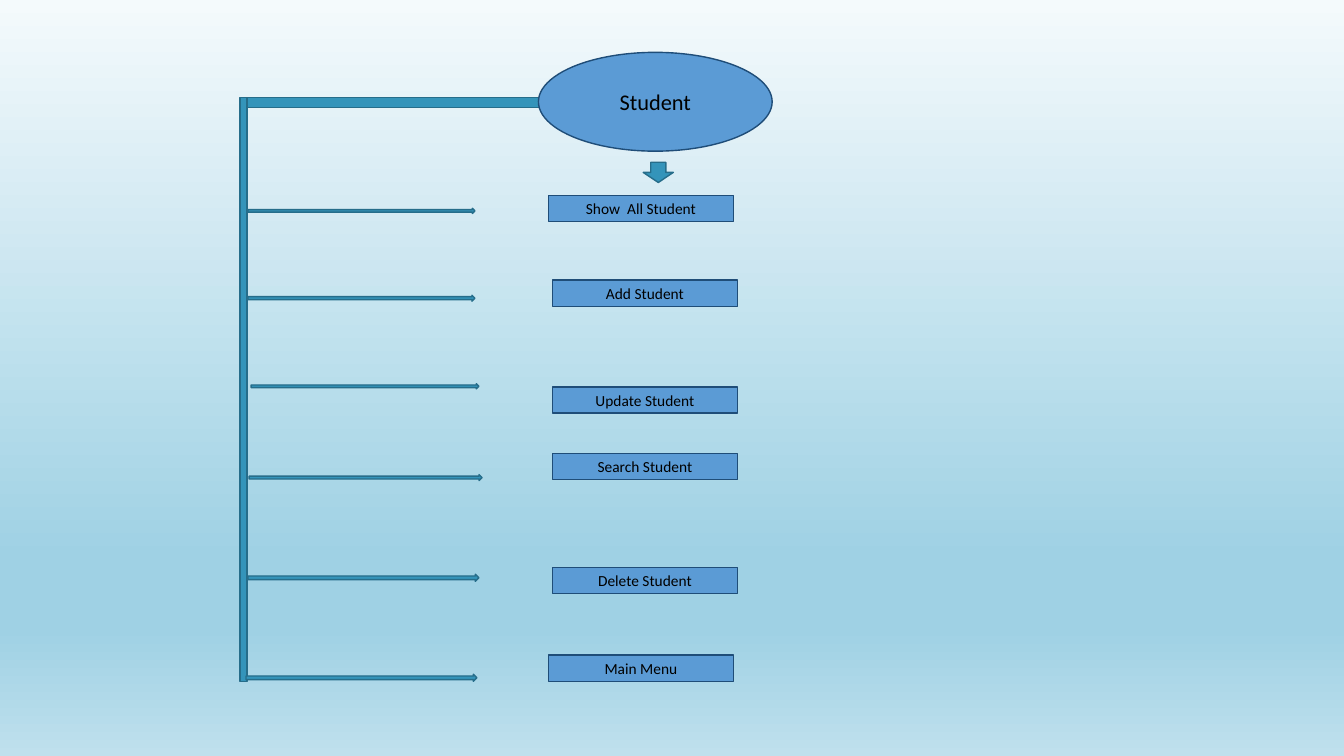
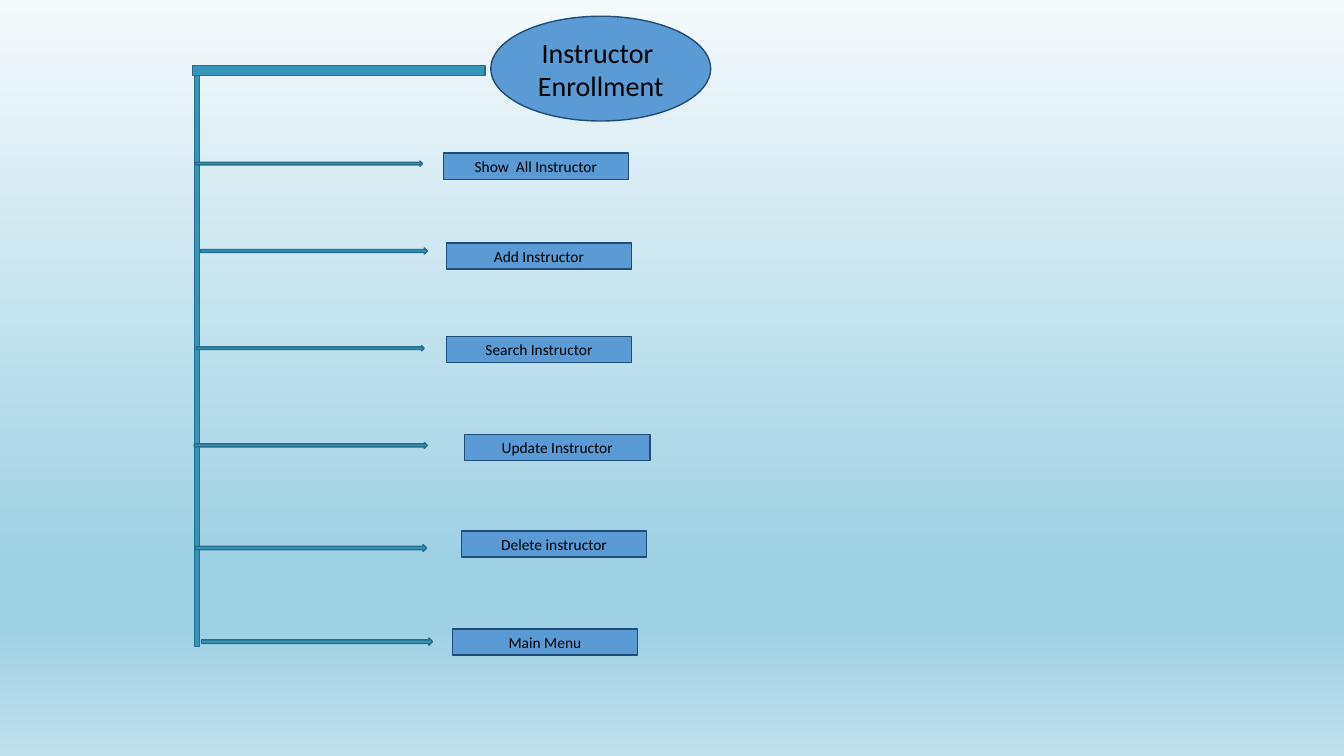
from copy import deepcopy
from dataclasses import dataclass

from pptx import Presentation
from pptx.dml.color import RGBColor
from pptx.enum.shapes import MSO_SHAPE
from pptx.enum.text import MSO_ANCHOR, PP_ALIGN
from pptx.oxml.ns import qn
from pptx.util import Cm, Pt

RECT, OVAL = MSO_SHAPE.RECTANGLE, MSO_SHAPE.OVAL
RIGHT_ARROW, DOWN_ARROW = MSO_SHAPE.RIGHT_ARROW, MSO_SHAPE.DOWN_ARROW
MIDDLE, CENTER = MSO_ANCHOR.MIDDLE, PP_ALIGN.CENTER


@dataclass(frozen=True)
class Theme:
    """Colours, type and line width shared by all slides."""
    node_fill: str = "5B9BD5"
    node_line: str = "1F4D78"
    path_fill: str = "3494BA"
    path_line: str = "266D8A"
    ink: str = "000000"
    font: str = "Calibri"
    option_size: int = 11
    line_width: int = 1
    sky: tuple = ((0, "F4FAFC"), (74, "9FD1E4"), (83, "9FD1E4"), (100, "BFE0ED"))


@dataclass(frozen=True)
class Menu:
    """One menu: its box origin, and parts placed in cm from that origin."""
    origin: tuple
    heading: tuple
    heading_size: int
    heading_box: tuple
    branch: tuple
    trunk: tuple
    options: tuple
    pointer: tuple = ()


THEME = Theme()
OPTION_SIZE = (4.67, 0.66)
ARROW_SIZES = ((5.72, 0.13), (5.72, 0.15), (5.74, 0.13),
               (5.87, 0.15), (5.82, 0.18), (5.82, 0.18))

STUDENT = Menu(
    origin=(6.05, 2.46),
    heading=("Student",),
    heading_size=16,
    heading_box=(7.52, -1.14, 5.89, 2.49),
    branch=(0.18, 0, 7.37, 0.25),
    trunk=(0, 0, 0.18, 14.71),
    pointer=(10.16, 1.63, 0.76, 0.51),
    options=(
        ("Show  All Student", (7.77, 2.46), (0.2, 2.79)),
        ("Add Student", (7.87, 4.6), (0.2, 4.98)),
        ("Update Student", (7.87, 7.29), (0.28, 7.21)),
        ("Search Student", (7.87, 8.97), (0.23, 9.5)),
        ("Delete Student", (7.87, 11.84), (0.2, 12.01)),
        ("Main Menu", (7.77, 14.05), (0.15, 14.53)),
    ),
)

INSTRUCTOR = Menu(
    origin=(4.85, 1.65),
    heading=("Instructor ", "Enrollment"),
    heading_size=20,
    heading_box=(7.52, -1.24, 5.54, 2.64),
    branch=(0, 0, 7.37, 0.25),
    trunk=(0.05, 0.25, 0.13, 14.4),
    options=(
        ("Show  All Instructor", (6.32, 2.21), (0.08, 2.41)),
        ("Add Instructor", (6.4, 4.47), (0.2, 4.6)),
        ("Search Instructor", (6.4, 6.83), (0.1, 7.06)),
        ("Update Instructor", (6.86, 9.3), (0.05, 9.5)),
        ("Delete instructor", (6.78, 11.73), (0.08, 12.07)),
        ("Main Menu", (6.55, 14.2), (0.23, 14.43)),
    ),
)


def paint_sky(master):
    """Give the master its vertical gradient background."""
    fill = master.background.fill
    fill.gradient()
    fill.gradient_angle = 270
    stop_list = next(master.element.iter(qn("a:gsLst")))
    while len(stop_list) < len(THEME.sky):
        stop_list.append(deepcopy(stop_list[0]))
    for stop, (position, color) in zip(fill.gradient_stops, THEME.sky):
        stop.position = position / 100
        stop.color.rgb = RGBColor.from_string(color)


def add_part(slide, kind, origin, box, fill, line):
    """Add a flat outlined shape in a box measured from the origin."""
    left, top, width, height = box
    part = slide.shapes.add_shape(
        kind, Cm(origin[0] + left), Cm(origin[1] + top), Cm(width), Cm(height))
    part.shadow.inherit = False
    part.fill.solid()
    part.fill.fore_color.rgb = RGBColor.from_string(fill)
    part.line.color.rgb = RGBColor.from_string(line)
    part.line.width = Pt(THEME.line_width)
    return part


def add_path(slide, kind, origin, box):
    """Add a bar or arrow that leads to the options."""
    add_part(slide, kind, origin, box, THEME.path_fill, THEME.path_line)


def add_node(slide, kind, origin, box, lines, size):
    """Add a node with centred lines of text."""
    node = add_part(slide, kind, origin, box, THEME.node_fill, THEME.node_line)
    frame = node.text_frame
    frame.word_wrap = True
    frame.vertical_anchor = MIDDLE
    for index, line in enumerate(lines):
        paragraph = frame.add_paragraph() if index else frame.paragraphs[0]
        paragraph.alignment = CENTER
        run = paragraph.add_run()
        run.text = line
        run.font.name = THEME.font
        run.font.size = Pt(size)
        run.font.color.rgb = RGBColor.from_string(THEME.ink)


def add_menu(slide, menu):
    """Draw a heading, its trunk, and an arrow and node for each option."""
    origin = menu.origin
    add_path(slide, RECT, origin, menu.branch)
    add_path(slide, RECT, origin, menu.trunk)
    add_node(slide, OVAL, origin, menu.heading_box, menu.heading, menu.heading_size)
    if menu.pointer:
        add_path(slide, DOWN_ARROW, origin, menu.pointer)
    for (label, place, arrow_start), arrow_size in zip(menu.options, ARROW_SIZES):
        add_path(slide, RIGHT_ARROW, origin, arrow_start + arrow_size)
        add_node(slide, RECT, origin, place + OPTION_SIZE, (label,), THEME.option_size)


def main():
    """Build and save both menu slides."""
    deck = Presentation()
    deck.slide_width, deck.slide_height = Cm(33.87), Cm(19.05)
    paint_sky(deck.slide_master)
    blank = deck.slide_layouts.get_by_name("Blank")
    for menu in (STUDENT, INSTRUCTOR):
        add_menu(deck.slides.add_slide(blank), menu)
    deck.save("out.pptx")


main()
